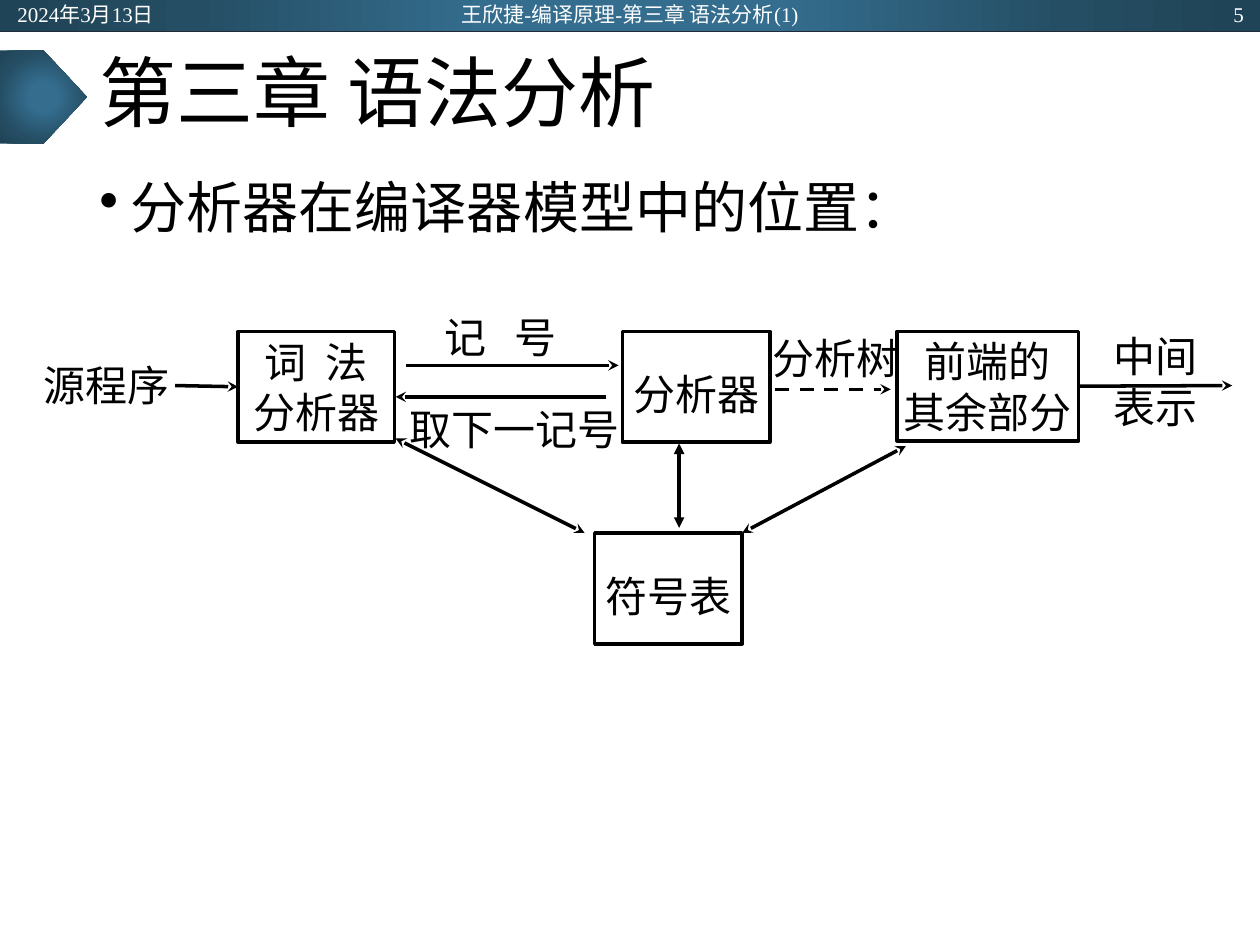
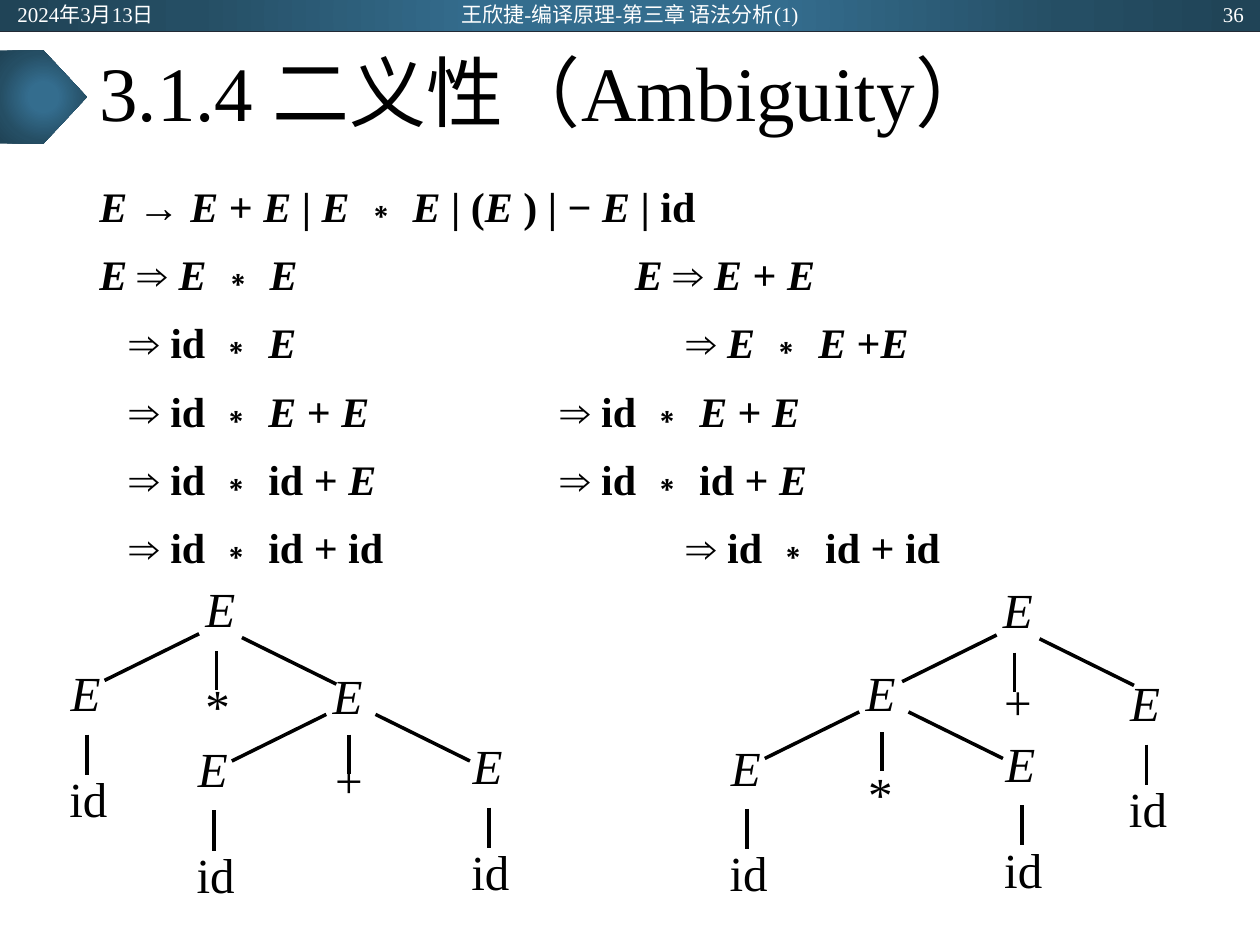
from dataclasses import dataclass
from itertools import groupby

from pptx import Presentation
from pptx import oxml
from pptx import util as u
from pptx.dml.color import RGBColor
from pptx.enum import dml, shapes, text
from pptx.oxml import ns


@dataclass(frozen=True)
class Theme:
    ink: str = "000000"
    paper: str = "FFFFFF"
    rule: str = "222A35"
    glow: tuple = ((0, "346D8E"), (23, "346D8E"), (69, "254E64"), (97, "204457"))
    latin: str = "Times New Roman"
    cjk: str = "Noto Sans CJK SC"
    title: int = 44
    bullet: int = 32
    node: int = 28
    label: int = 24
    footer: int = 12
    stroke: int = 2


theme = Theme()
LEFT, CENTER, RIGHT = text.PP_ALIGN.LEFT, text.PP_ALIGN.CENTER, text.PP_ALIGN.RIGHT
TOP, MIDDLE = text.MSO_ANCHOR.TOP, text.MSO_ANCHOR.MIDDLE
RECT = shapes.MSO_SHAPE.RECTANGLE

# The slide is a grid of 100 columns by 75 rows of square cells
deck = Presentation()
deck.slide_width, deck.slide_height = u.Inches(10), u.Inches(7.5)
CELL = deck.slide_width // 100


def write(slide, area, content, size, align=LEFT, anchor=MIDDLE, color=theme.ink,
          insets=(1, 0.5, 1, 0.5), bold=False, boxed=False):
    """Place text on the grid, boxed or bare; the grammar variable E is italic."""
    place = [round(n * CELL) for n in area]
    if boxed:
        holder = slide.shapes.add_shape(RECT, *place)
        holder.shadow.inherit = False
        holder.fill.background()
        holder.line.color.rgb = RGBColor.from_string(theme.ink)
        holder.line.width = u.Pt(theme.stroke)
    else:
        holder = slide.shapes.add_textbox(*place)
    frame = holder.text_frame
    frame.word_wrap = True
    frame.vertical_anchor = anchor
    (frame.margin_left, frame.margin_top,
     frame.margin_right, frame.margin_bottom) = [round(n * CELL) for n in insets]
    frame.text = content
    for paragraph in frame.paragraphs:
        paragraph.alignment = align
        pieces = ["".join(g) for _, g in groupby(paragraph.text, lambda ch: ch == "E")]
        paragraph.text = pieces[0]
        for piece in pieces[1:]:
            paragraph.add_run().text = piece
        for run in paragraph.runs:
            run.font.name = theme.latin
            run.font.size = u.Pt(size)
            run.font.bold = bold
            run.font.italic = run.text == "E"
            run.font.color.rgb = RGBColor.from_string(color)
            east_asian = oxml.parse_xml(f'<a:ea {ns.nsdecls("a")} typeface="{theme.cjk}"/>')
            run.font._element.append(east_asian)
    return holder


def draw_line(slide, start, end, head=None, tail=None, dashed=False,
              color=theme.ink, width=theme.stroke):
    """Draw a straight line between two grid points."""
    link = slide.shapes.add_connector(
        shapes.MSO_CONNECTOR.STRAIGHT, *[round(n * CELL) for n in (*start, *end)])
    link.line.color.rgb = RGBColor.from_string(color)
    link.line.width = u.Pt(width)
    if dashed:
        link.line.dash_style = dml.MSO_LINE.DASH
    outline = link.line._get_or_add_ln()
    for tag, arrow in (("headEnd", head), ("tailEnd", tail)):
        if arrow:
            outline.append(oxml.parse_xml(f'<a:{tag} {ns.nsdecls("a")} type="{arrow}"/>'))
    link._element.spPr.append(oxml.parse_xml(f'<a:effectLst {ns.nsdecls("a")}/>'))
    return link


# Shared frame: top band, title marker, title and header texts
stops = "".join(f'<a:gs pos="{pos * 1000}"><a:srgbClr val="{color}"/></a:gs>'
                for pos, color in theme.glow)
glow_xml = (f'<a:gradFill {ns.nsdecls("a")} rotWithShape="1"><a:gsLst>{stops}</a:gsLst>'
            '<a:path path="circle"><a:fillToRect l="50000" t="50000" r="50000" b="50000"/>'
            '</a:path></a:gradFill>')
pages = []
for heading, number in (("第三章 语法分析", "5"), ("3.1.4 二义性（Ambiguity）", "36")):
    page = deck.slides.add_slide(deck.slide_layouts[6])
    pages.append(page)
    for preset, area in ((RECT, (0, 0, 100, 2.5)),
                         (shapes.MSO_SHAPE.PENTAGON, (0, 4, 6.9, 7.4))):
        band = page.shapes.add_shape(preset, *[round(n * CELL) for n in area])
        band.shadow.inherit = False
        band.line.fill.background()
        band.fill.background()
        properties = band._element.spPr
        properties.replace(properties.find(ns.qn("a:noFill")), oxml.parse_xml(glow_xml))
    draw_line(page, (0, 2.5), (100, 2.5), color=theme.rule, width=0.5)
    title = write(page, (6.9, 2.5, 86.2, 10.4), heading, theme.title)
    title.text_frame.paragraphs[0].line_spacing = 0.9
    for left, width, align, note in (
            (0.4, 22.5, LEFT, "2024年3月13日"),
            (33.1, 33.8, CENTER, "王欣捷-编译原理-第三章 语法分析(1)"),
            (77.2, 22.5, RIGHT, number)):
        write(page, (left, 0.1, width, 2), note, theme.footer, align, color=theme.paper)
model, ambiguity = pages
BODY = (6.9, 13.8, 86.2, 53.8)

# Compiler model: lead-in
lead = write(model, BODY, "分析器在编译器模型中的位置：", theme.bullet, anchor=TOP)
lead_line = lead.text_frame.paragraphs[0]
lead_line.line_spacing = 0.9
lead_format = lead_line._p.get_or_add_pPr()
lead_format.set("marL", str(u.Inches(0.25)))
lead_format.set("indent", str(-u.Inches(0.25)))
lead_format.append(oxml.parse_xml(f'<a:buChar {ns.nsdecls("a")} char="•"/>'))

# Compiler model: stages
lexer, parser, rest, symbols = [
    write(model, area, stage, theme.label, CENTER, insets=(0.2, top, 0.2, 0.5), boxed=True)
    for area, stage, top in (
        ((18.9, 26.3, 12.4, 8.8), "词 法\n分析器", 0.5),
        ((49.4, 26.3, 11.7, 8.8), "分析器", 1.6),
        ((71.2, 26.3, 14.4, 8.7), "前端的\n其余部分", 0.5),
        ((47.2, 42.3, 11.7, 8.8), "符号表", 1.6))]

# Compiler model: what passes between the stages
token, request, source, tree, output = [
    write(model, area, flow, theme.label, CENTER, insets=(1, top, 1, 0.5))
    for area, flow, top in (
        ((31.4, 24, 16.6, 5.4), "记 号", 0.5),
        ((29.4, 31.5, 22.8, 5), "取下一记号", 0.5),
        ((2.2, 27.8, 12.5, 5.4), "源程序", 0.5),
        ((58.9, 26.2, 14.8, 4.7), "分析树", 0.1),
        ((85.8, 26.1, 11.8, 8.7), "中间表示", 0.1))]
for spaced, tracking in ((lexer, 270), (token, 530)):
    for run in spaced.text_frame.paragraphs[0].runs:
        run.font._element.set("spc", str(tracking))

# Compiler model: arrows
draw_line(model, (32.2, 29), (49.1, 29), tail="stealth")
draw_line(model, (48.1, 31.5), (31.4, 31.5), tail="stealth")
draw_line(model, (61.5, 30.9), (70.7, 30.9), tail="stealth", dashed=True)
draw_line(model, (13.9, 30.6), (18.9, 30.7), tail="stealth").end_connect(lexer, 1)
draw_line(model, (85.6, 30.6), (97.8, 30.6), tail="stealth").begin_connect(rest, 3)
for start, end, arrow in (((31.4, 34.8), (46.4, 42.3), "stealth"),
                          ((71.9, 35.4), (58.9, 42.3), "stealth"),
                          ((53.9, 35.2), (53.9, 41.9), "triangle")):
    draw_line(model, start, end, head=arrow, tail=arrow)

# Ambiguity: two derivations side by side, each line with its tab stops in inches
derivation = (
    ("E → E + E | E ∗ E | (E ) | − E | id", ()),
    ("E ⇒ E ∗ E\tE ⇒ E + E", (4.25,)),
    ("\t⇒ id ∗ E\t⇒ E ∗ E +E", (0.24, 4.66)),
    ("\t⇒ id ∗ E + E\t⇒ id ∗ E + E", (0.24, 3.66)),
    ("\t⇒ id ∗ id + E\t⇒ id ∗ id + E", (0.24, 3.66)),
    ("\t⇒ id ∗ id + id\t⇒ id ∗ id + id", (0.24, 4.66)),
)
steps = write(ambiguity, BODY, "\n".join(step for step, _ in derivation),
              theme.label, anchor=TOP, bold=True)
for row, (paragraph, (_, tabs)) in enumerate(zip(steps.text_frame.paragraphs, derivation)):
    paragraph.line_spacing = u.Pt(29)
    if row:
        paragraph.space_before = u.Pt(10)
        marks = "".join(f'<a:tab pos="{u.Inches(tab)}" algn="l"/>' for tab in tabs)
        paragraph._p.get_or_add_pPr().append(
            oxml.parse_xml(f'<a:tabLst {ns.nsdecls("a")}>{marks}</a:tabLst>'))

# Ambiguity: parse trees; edges run from each node's corner by kind of node
edges = {
    "root": (((-0.3, 4.5), (-7.8, 8.2)), ((3.1, 4.8), (10.6, 8.5)), ((1.1, 5.9), (1.1, 9))),
    "inner": (((-0.3, 4), (-7.8, 7.7)), ((3.6, 4), (11.1, 7.7)), ((1.5, 5.6), (1.5, 8.7))),
    "parent of id": (((1.5, 5.8), (1.5, 9)),),
    "leaf": (),
}
nodes = [
    # id * (id + id)
    ("E", 16.1, 45.8, "root"), ("*", 16.1, 53.5, "leaf"),
    ("E", 5.4, 52.5, "parent of id"), ("E", 26.2, 52.7, "inner"),
    ("+", 26.4, 59.4, "leaf"),
    ("E", 15.5, 58.5, "parent of id"), ("E", 37.3, 58.3, "parent of id"),
    # (id * id) + id
    ("E", 79.4, 45.9, "root"), ("+", 79.5, 53.2, "leaf"),
    ("E", 68.5, 52.5, "inner"), ("E", 89.5, 53.3, "parent of id"),
    ("*", 68.7, 60.5, "leaf"),
    ("E", 57.8, 58.4, "parent of id"), ("E", 79.6, 58.1, "parent of id"),
]
nodes += [("id", x - 0.1, y + 8.4, "leaf") for _, x, y, kind in nodes if kind == "parent of id"]
for symbol, x, y, kind in nodes:
    write(ambiguity, (x, y, 5.1, 5.5), symbol, theme.node, text.PP_ALIGN.JUSTIFY, TOP,
          insets=(0.2, 0.1, 0.2, 0.1))
    for (x1, y1), (x2, y2) in edges[kind]:
        draw_line(ambiguity, (x + x1, y + y1), (x + x2, y + y2))

deck.save("out.pptx")
